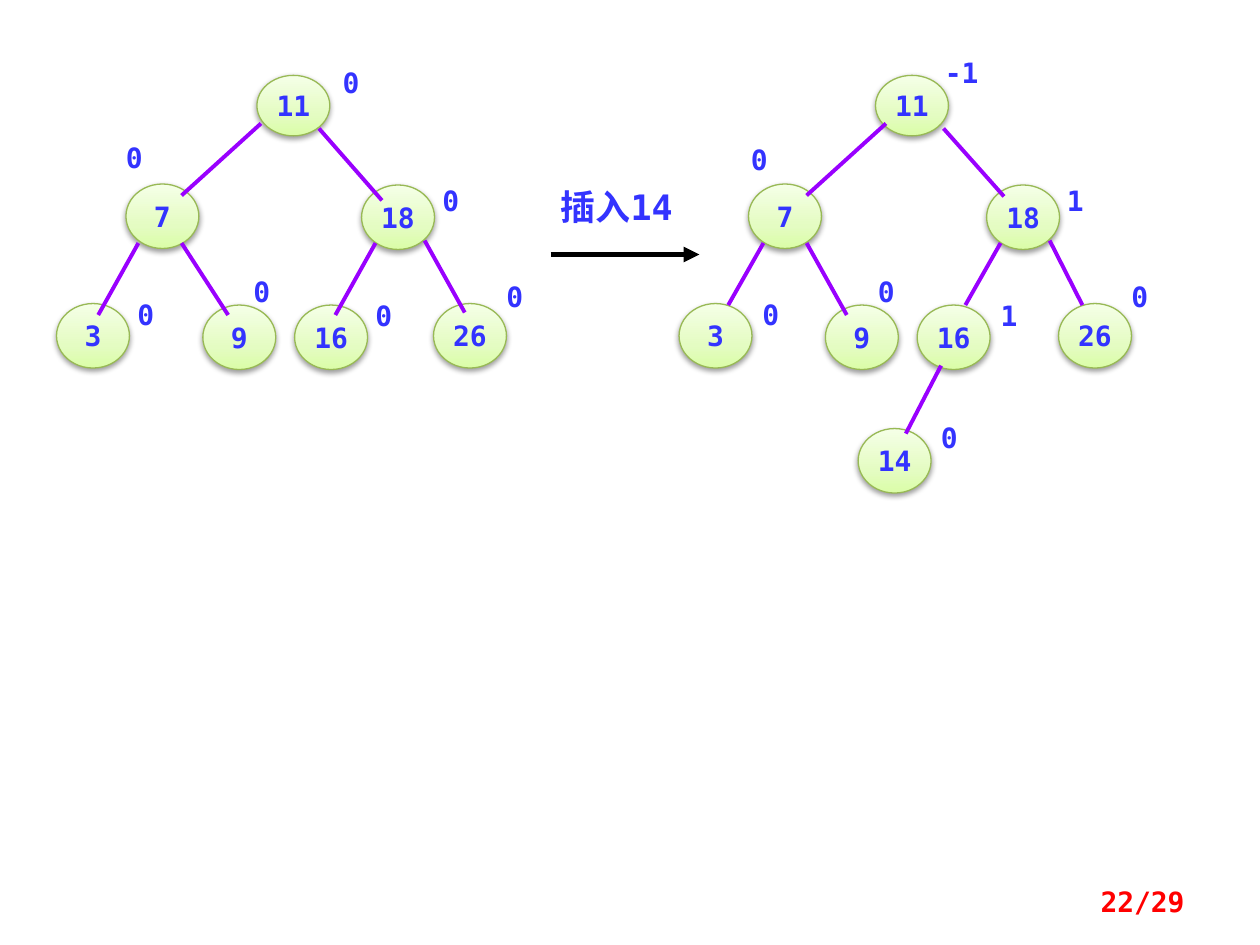
"""Build a slide showing a balanced search tree before and after inserting 14."""
from copy import deepcopy
from dataclasses import dataclass
from typing import Optional

from pptx import Presentation
from pptx.dml.color import RGBColor
from pptx.enum import shapes, text
from pptx.oxml import ns, xmlchemy
from pptx.util import Cm, Pt

FONT = "DejaVu Sans Mono"
BLUE = RGBColor(0x33, 0x33, 0xFF)
RED = RGBColor(0xFF, 0x00, 0x00)
PURPLE = RGBColor(0x99, 0x00, 0xFF)
BLACK = RGBColor(0x00, 0x00, 0x00)
OUTLINE = RGBColor(0x98, 0xB9, 0x55)
GREENS = (
    (0, RGBColor(0xDA, 0xFD, 0xA7)),
    (0.35, RGBColor(0xE4, 0xFC, 0xC2)),
    (1, RGBColor(0xF5, 0xFF, 0xE7)),
)
NODE_WIDTH, NODE_HEIGHT, ROOT_HEIGHT = 1.47, 1.3, 1.22


@dataclass
class Node:
    key: str
    position: tuple[float, float]
    balance: str
    balance_position: tuple[float, float]
    branch: Optional[tuple[float, float, float, float]] = None


BEFORE = [
    Node("11", (5.18, 1.52), "0", (6.91, 1.32)),
    Node("7", (2.54, 3.71), "0", (2.54, 2.84), (5.26, 2.49, 3.66, 3.94)),
    Node("18", (7.29, 3.73), "0", (8.92, 3.71), (6.43, 2.59, 7.7, 4.04)),
    Node("3", (1.14, 6.12), "0", (2.77, 5.99), (2.79, 4.9, 1.98, 6.35)),
    Node("26", (8.74, 6.12), "0", (10.21, 5.64), (8.56, 4.85, 9.37, 6.3)),
    Node("9", (4.09, 6.15), "0", (5.11, 5.54), (3.66, 4.9, 4.6, 6.35)),
    Node("16", (5.94, 6.15), "0", (7.57, 6.02), (7.57, 4.9, 6.76, 6.35)),
]
AFTER = [
    Node("11", (17.65, 1.52), "-1", (19.05, 1.12)),
    Node("7", (15.09, 3.71), "0", (15.14, 2.87), (17.86, 2.49, 16.26, 3.94)),
    Node("18", (19.89, 3.73), "1", (21.51, 3.71), (19.02, 2.59, 20.24, 3.96)),
    Node("3", (13.69, 6.12), "0", (15.37, 5.99), (15.39, 4.9, 14.68, 6.15)),
    Node("26", (21.34, 6.12), "0", (22.81, 5.64), (21.16, 4.85, 21.82, 6.15)),
    Node("9", (16.64, 6.15), "0", (17.7, 5.54), (16.26, 4.9, 17.07, 6.35)),
    Node("16", (18.49, 6.15), "1", (20.17, 6.02), (20.17, 4.9, 19.46, 6.15)),
    Node("14", (17.3, 8.64), "0", (18.97, 8.48), (18.97, 7.37, 18.26, 8.74)),
]


def write(frame, content: str, size: float = 16, color: RGBColor = BLUE,
          align=text.PP_ALIGN.LEFT, anchor=text.MSO_ANCHOR.TOP) -> None:
    """Put one bold line in a text frame without insets."""
    frame.text = content
    frame.margin_left = frame.margin_right = frame.margin_top = frame.margin_bottom = 0
    frame.vertical_anchor = anchor
    paragraph = frame.paragraphs[0]
    paragraph.alignment = align
    font = paragraph.runs[0].font
    font.name, font.size, font.bold = FONT, Pt(size), True
    font.color.rgb = color


def add_label(slide, content: str, left: float, top: float, width: float,
              height: float = 0.84, **style) -> None:
    """Add a wrapping text box."""
    frame = slide.shapes.add_textbox(Cm(left), Cm(top), Cm(width), Cm(height)).text_frame
    write(frame, content, **style)
    frame.word_wrap = True


def add_line(slide, ends: tuple[float, float, float, float], color: RGBColor, width: float):
    """Add a straight line without a shadow."""
    line = slide.shapes.add_connector(shapes.MSO_CONNECTOR.STRAIGHT, *map(Cm, ends))
    line.line.color.rgb = color
    line.line.width = Pt(width)
    line._element.spPr.append(xmlchemy.OxmlElement("a:effectLst"))
    return line


def add_child(parent, tag: str, **attributes: str):
    """Append an XML element and return it."""
    child = xmlchemy.OxmlElement(tag)
    for name, value in attributes.items():
        child.set(name, value)
    parent.append(child)
    return child


def add_circle(slide, node: Node) -> None:
    """Add the green ellipse that holds a key."""
    height = NODE_HEIGHT if node.branch else ROOT_HEIGHT
    circle = slide.shapes.add_shape(shapes.MSO_SHAPE.OVAL, *map(Cm, node.position),
                                    Cm(NODE_WIDTH), Cm(height))
    circle.fill.gradient()
    circle.fill.gradient_angle = 90
    properties = circle._element.spPr
    stop_list = properties.find(".//" + ns.qn("a:gsLst"))
    stop_list.append(deepcopy(stop_list[0]))
    for stop, (position, color) in zip(circle.fill.gradient_stops, GREENS):
        stop.position = position
        stop.color.rgb = color
    circle.line.color.rgb = OUTLINE
    circle.line.width = Pt(0.75)
    effects = add_child(properties, "a:effectLst")
    shadow = add_child(effects, "a:outerShdw", blurRad="40000", dist="20000",
                       dir="5400000", rotWithShape="0")
    add_child(add_child(shadow, "a:srgbClr", val="000000"), "a:alpha", val="38000")
    write(circle.text_frame, node.key, align=text.PP_ALIGN.CENTER,
          anchor=text.MSO_ANCHOR.MIDDLE)
    circle.text_frame.word_wrap = False


def add_tree(slide, nodes: list[Node]) -> None:
    """Draw every node with its branch and balance factor."""
    for node in nodes:
        add_circle(slide, node)
        if node.branch:
            add_line(slide, node.branch, PURPLE, 2.25)
        add_label(slide, node.balance, *node.balance_position, 0.69 * len(node.balance))


def main() -> None:
    """Compose and save the slide."""
    deck = Presentation()
    deck.slide_width, deck.slide_height = Cm(25.4), Cm(19.05)
    slide = deck.slides.add_slide(deck.slide_layouts[6])
    add_tree(slide, BEFORE)
    arrow = add_line(slide, (11.1, 5.13, 14.1, 5.13), BLACK, 3)
    add_child(arrow.line._get_or_add_ln(), "a:tailEnd", type="triangle")
    add_label(slide, "插入14", 11.3, 3.73, 2.59, size=20)
    add_tree(slide, AFTER)
    add_label(slide, "22/29", 18.21, 17.65, 5.67, 1.02, color=RED,
              align=text.PP_ALIGN.RIGHT, anchor=text.MSO_ANCHOR.MIDDLE)
    deck.save("out.pptx")


if __name__ == "__main__":
    main()
